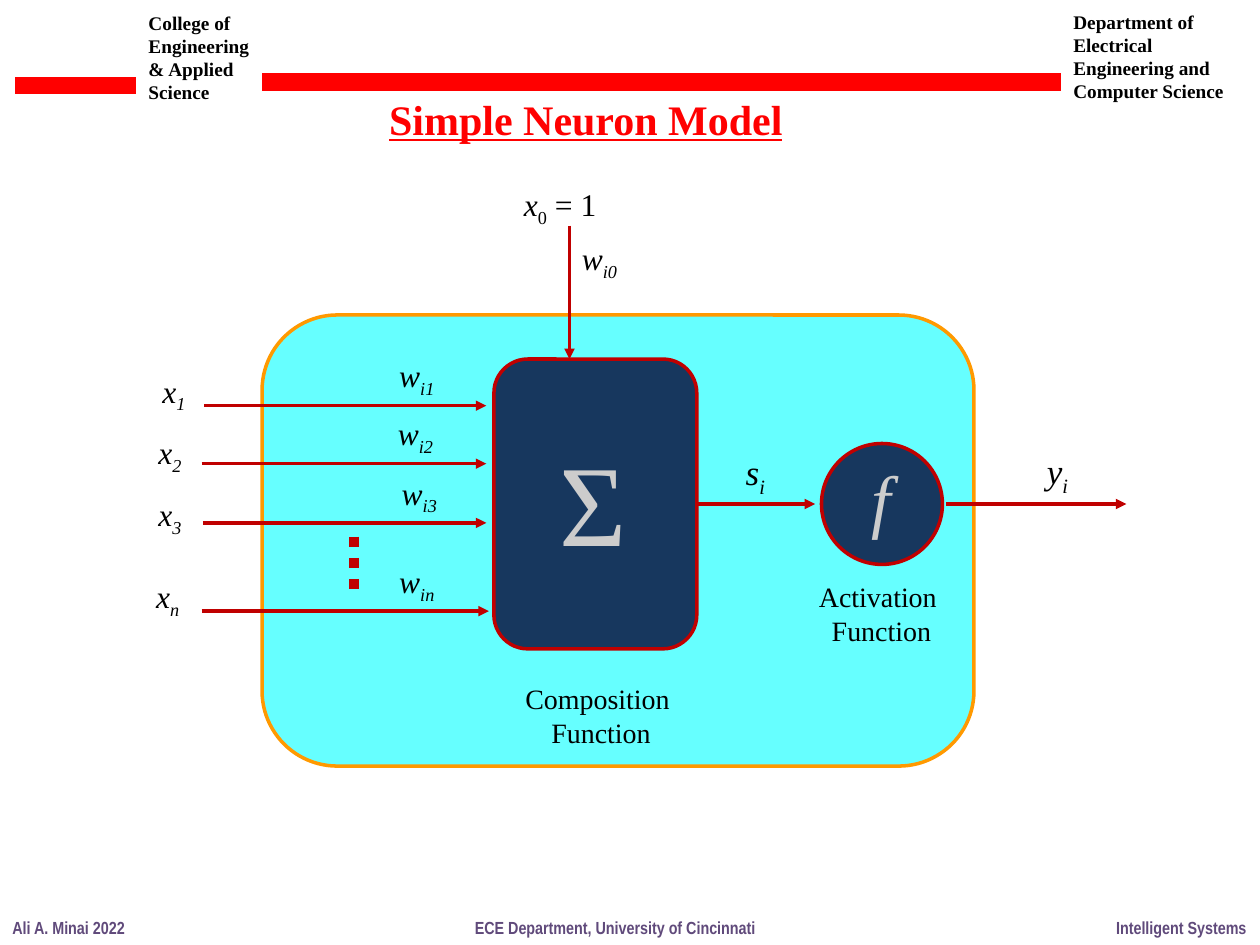
from dataclasses import dataclass

from lxml import etree
from pptx import Presentation
from pptx.dml.color import RGBColor
from pptx.enum.dml import MSO_LINE
from pptx.enum.shapes import MSO_CONNECTOR, MSO_SHAPE
from pptx.enum.text import MSO_AUTO_SIZE, PP_ALIGN
from pptx.oxml.ns import qn
from pptx.util import Inches, Pt

STRAIGHT = MSO_CONNECTOR.STRAIGHT
ROUNDED = MSO_SHAPE.ROUNDED_RECTANGLE
OVAL = MSO_SHAPE.OVAL
DOTTED = MSO_LINE.ROUND_DOT
FIT_SHAPE = MSO_AUTO_SIZE.SHAPE_TO_FIT_TEXT
LEFT, CENTER = PP_ALIGN.LEFT, PP_ALIGN.CENTER
RIGHT_SIDE = 3

SERIF, NARROW = "Times New Roman", "Arial Narrow"
COLORS = {
    "black": "000000", "red": "FF0000", "arrow": "C00000", "navy": "17375E",
    "cyan": "66FFFF", "orange": "FF9900", "symbol": "CCCCCC", "footer": "604A7B",
}
COLUMNS, ROWS = 100, 75

prs = Presentation()
prs.slide_width, prs.slide_height = Inches(10), Inches(7.5)
slide = prs.slides.add_slide(prs.slide_layouts[6])


@dataclass(frozen=True)
class Box:
    col: float
    row: float
    cols: float
    rows: float


@dataclass(frozen=True)
class Run:
    text: str
    italic: bool = False
    subscript: bool = False


@dataclass(frozen=True)
class Signal:
    index: str
    row: float
    start: float
    end: float
    input_col: float
    input_row: float
    weight_col: float


@dataclass(frozen=True)
class Footer:
    text: str
    col: float
    cols: float


def x(col: float) -> int:
    return round(prs.slide_width * col / COLUMNS)


def y(row: float) -> int:
    return round(prs.slide_height * row / ROWS)


def color(key: str) -> RGBColor:
    return RGBColor.from_string(COLORS[key])


def place(box: Box) -> tuple[int, int, int, int]:
    return x(box.col), y(box.row), x(box.cols), y(box.rows)


def add_text(box: Box, *paragraphs: list[Run], size: float, ink: str = "black",
             font: str = SERIF, bold: bool = False, underline: bool = False,
             align: PP_ALIGN = LEFT, wrap: bool = False) -> None:
    frame = slide.shapes.add_textbox(*place(box)).text_frame
    frame.word_wrap = wrap
    frame.auto_size = FIT_SHAPE
    for number, pieces in enumerate(paragraphs):
        paragraph = frame.add_paragraph() if number else frame.paragraphs[0]
        paragraph.alignment = align
        for piece in pieces:
            run = paragraph.add_run()
            run.text = piece.text
            run.font.name, run.font.size = font, Pt(size)
            run.font.bold, run.font.italic = bold, piece.italic
            run.font.underline = underline
            run.font.color.rgb = color(ink)
            if piece.subscript:
                run.font._element.set("baseline", "-25000")


def add_variable(box: Box, letter: str, index: str, size: float = 18) -> None:
    add_text(box, [Run(letter, italic=True), Run(index, italic=True, subscript=True)],
             size=size)


def add_block(kind: MSO_SHAPE, box: Box, fill: str, outline: str):
    block = slide.shapes.add_shape(kind, *place(box))
    block.shadow.inherit = False
    block.fill.solid()
    block.fill.fore_color.rgb = color(fill)
    block.line.color.rgb = color(outline)
    block.line.width = Pt(2)
    return block


def add_line(start: tuple[float, float], end: tuple[float, float], ink: str = "arrow",
             width: float = 2, arrow: bool = False, dash: MSO_LINE | None = None):
    line = slide.shapes.add_connector(STRAIGHT, x(start[0]), y(start[1]),
                                      x(end[0]), y(end[1]))
    line.line.color.rgb = color(ink)
    line.line.width = Pt(width)
    if dash is not None:
        line.line.dash_style = dash
    if arrow:
        etree.SubElement(line.line._get_or_add_ln(), qn("a:tailEnd"), type="triangle")
    etree.SubElement(line._element.spPr, qn("a:effectLst"))
    return line


def add_frame() -> None:
    add_text(Box(10.8, 0.4, 10.9, 8.4), [Run("College of Engineering & Applied")],
             [Run("Science")], size=11, bold=True, wrap=True)
    add_text(Box(84.2, 0.3, 14.7, 8.4),
             [Run("Department of Electrical Engineering and Computer Science")],
             size=11, bold=True, wrap=True)
    add_line((1.2, 6.8), (10.8, 6.8), ink="red", width=10)
    add_line((20.8, 6.5), (84.2, 6.5), ink="red", width=10)
    for footer in (
        Footer("Ali A. Minai 2022", 0, 11),
        Footer("ECE Department, University of Cincinnati", 36.7, 24.5),
        Footer("Intelligent Systems", 87.6, 12.4),
    ):
        add_text(Box(footer.col, 72.3, footer.cols, 2.7), [Run(footer.text)],
                 size=10, ink="footer", font=NARROW, bold=True)
    add_text(Box(29.9, 6.9, 33.3, 5), [Run("Simple Neuron Model")],
             size=24, ink="red", bold=True, underline=True)


def add_neuron() -> None:
    add_block(ROUNDED, Box(20.8, 25, 56.5, 35.8), "cyan", "orange")
    composition = add_block(ROUNDED, Box(39.2, 28.5, 16.1, 23), "navy", "arrow")
    add_block(OVAL, Box(65.2, 35.2, 9.6, 9.6), "navy", "arrow")
    add_text(Box(43.4, 33.7, 7.4, 12), [Run("Σ")], size=66, ink="symbol")
    add_text(Box(68.2, 35.7, 3.6, 7.7), [Run("f", italic=True)], size=40, ink="symbol")
    add_text(Box(40.6, 53.6, 14.2, 6.4), [Run("Composition ")], [Run("Function")],
             size=16, align=CENTER)
    add_text(Box(63.9, 45.5, 12.1, 6.4), [Run("Activation ")], [Run("Function")],
             size=16, align=CENTER)
    weighted_sum = add_line((55.3, 40), (64.7, 40), arrow=True)
    weighted_sum.begin_connect(composition, RIGHT_SIDE)
    add_line((75.1, 40), (89.4, 40), arrow=True)
    add_variable(Box(58.2, 35.3, 3.6, 4.4), "s", "i", size=20)
    add_variable(Box(82.1, 35.2, 3.8, 4.4), "y", "i", size=20)


def add_inputs() -> None:
    for signal in (
        Signal("1", 32.2, 16.2, 38.6, 11.9, 29, 30.7),
        Signal("2", 36.8, 16, 38.6, 11.6, 33.9, 30.6),
        Signal("3", 41.5, 16.1, 38.6, 11.6, 38.8, 30.9),
        Signal("n", 48.5, 16, 38.8, 11.4, 45.3, 30.7),
    ):
        add_line((signal.start, signal.row), (signal.end, signal.row), arrow=True)
        add_variable(Box(signal.input_col, signal.input_row, 4, 4), "x", signal.index)
        add_variable(Box(signal.weight_col, signal.row - 4.4, 5, 4), "w",
                     f"i{signal.index}")
    add_line((28.1, 42.6), (28.1, 46.8), width=6, dash=DOTTED)
    add_line((45.2, 17.9), (45.2, 28.5), arrow=True)
    add_text(Box(40.6, 14.2, 8.1, 4),
             [Run("x", italic=True), Run("0", subscript=True), Run(" = 1")], size=18)
    add_variable(Box(45.2, 18.5, 5, 4), "w", "i0")


def main() -> None:
    add_frame()
    add_neuron()
    add_inputs()
    prs.save("out.pptx")


if __name__ == "__main__":
    main()
